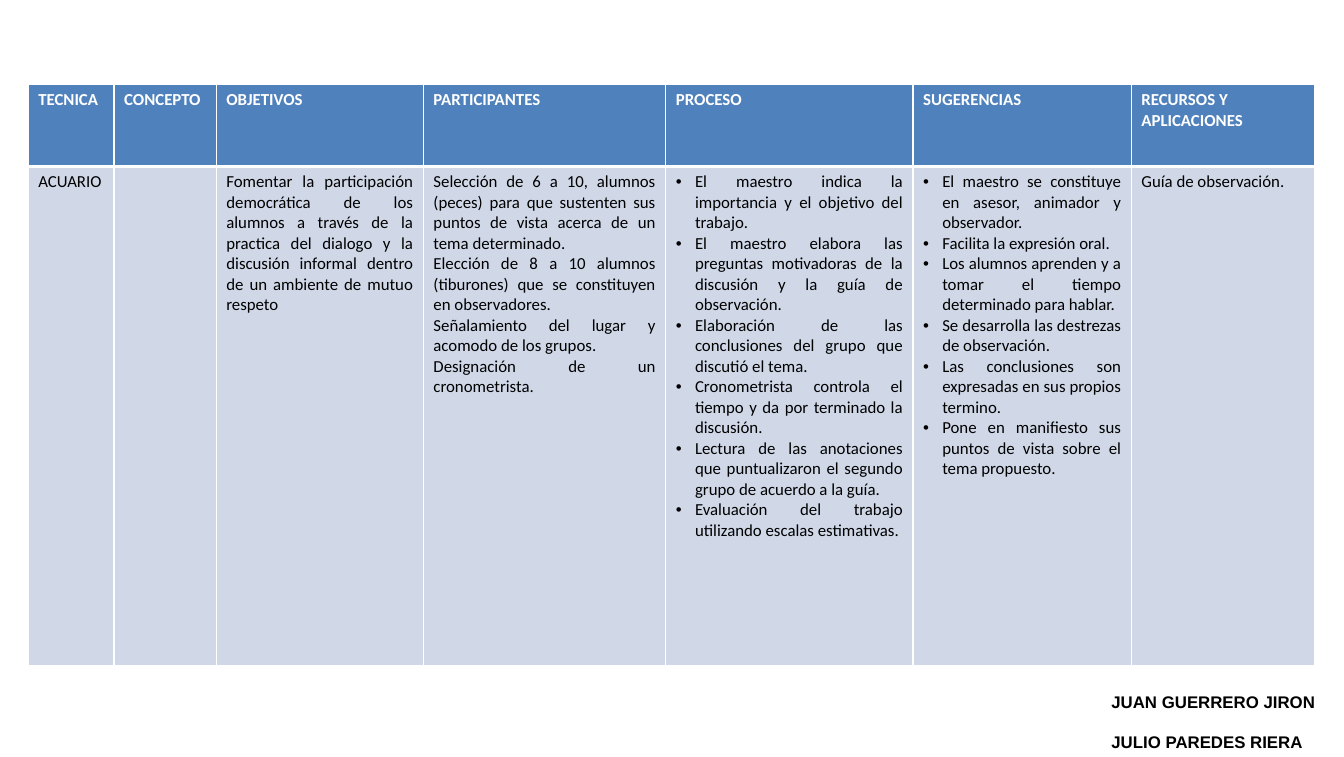
import pptx
import pptx.util
import pptx.dml.color
import pptx.enum.text
import pptx.oxml.ns
import lxml.etree

Cm = pptx.util.Cm
Pt = pptx.util.Pt
RGBColor = pptx.dml.color.RGBColor
JUSTIFY = pptx.enum.text.PP_ALIGN.JUSTIFY
LEFT = pptx.enum.text.PP_ALIGN.LEFT

WHITE = RGBColor(0xFF, 0xFF, 0xFF)
BLACK = RGBColor(0x00, 0x00, 0x00)
HEADER_BLUE = RGBColor(0x4F, 0x81, 0xBD)
BODY_BLUE = RGBColor(0xD0, 0xD8, 0xE8)

COLUMNS = [
    ("TECNICA", 2.16, LEFT, False, ["ACUARIO"]),
    ("CONCEPTO", 2.57, LEFT, False, []),
    ("OBJETIVOS", 5.21, JUSTIFY, False, [
        "Fomentar la participación democrática de los alumnos a través de la practica del "
        "dialogo y la discusión informal dentro de un ambiente de mutuo respeto",
    ]),
    ("PARTICIPANTES", 6.1, JUSTIFY, False, [
        "Selección de 6 a 10, alumnos (peces) para que sustenten sus puntos de vista "
        "acerca de un tema determinado.",
        "Elección de 8 a 10 alumnos (tiburones) que se constituyen en observadores.",
        "Señalamiento del lugar y acomodo de los grupos.",
        "Designación de un cronometrista.",
    ]),
    ("PROCESO", 6.22, JUSTIFY, True, [
        "El maestro indica la importancia y el objetivo del trabajo.",
        "El maestro elabora las preguntas motivadoras de la discusión y la guía de observación.",
        "Elaboración de las conclusiones del grupo que discutió el tema.",
        "Cronometrista controla el tiempo y da por terminado la discusión.",
        "Lectura de las anotaciones que puntualizaron el segundo grupo de acuerdo a la guía.",
        "Evaluación del trabajo utilizando escalas estimativas.",
    ]),
    ("SUGERENCIAS", 5.49, JUSTIFY, True, [
        "El maestro se constituye en asesor, animador y observador.",
        "Facilita la expresión oral.",
        "Los alumnos aprenden y a tomar el tiempo determinado para hablar.",
        "Se desarrolla las destrezas de observación.",
        "Las conclusiones son expresadas en sus propios termino.",
        "Pone en manifiesto sus puntos de vista sobre el tema propuesto.",
    ]),
    ("RECURSOS Y APLICACIONES", 4.62, LEFT, False, ["Guía de observación."]),
]
ROW_HEIGHTS = [2.06, 12.55]
AUTHORS = ["JUAN GUERRERO JIRON", "JULIO PAREDES RIERA"]


def add_paragraph(text_frame, index, text, font_name, color, bold):
    paragraph = text_frame.paragraphs[0] if index == 0 else text_frame.add_paragraph()
    run = paragraph.add_run()
    run.text = text
    run.font.name = font_name
    run.font.size = Pt(12)
    run.font.bold = bold
    run.font.color.rgb = color
    return paragraph


def style_cell(cell, fill_color, top_width, bottom_width):
    properties = cell._tc.get_or_add_tcPr()
    for side, width in (("L", 1), ("R", 1), ("T", top_width), ("B", bottom_width)):
        line = lxml.etree.SubElement(
            properties, pptx.oxml.ns.qn(f"a:ln{side}"), w=str(Pt(width)))
        solid = lxml.etree.SubElement(line, pptx.oxml.ns.qn("a:solidFill"))
        lxml.etree.SubElement(solid, pptx.oxml.ns.qn("a:srgbClr"), val=str(WHITE))
    cell.fill.solid()
    cell.fill.fore_color.rgb = fill_color


presentation = pptx.Presentation()
presentation.slide_width = Cm(33.81)
presentation.slide_height = Cm(19.05)
slide = presentation.slides.add_slide(presentation.slide_layouts[6])

table_width = sum(column[1] for column in COLUMNS)
table = slide.shapes.add_table(
    len(ROW_HEIGHTS), len(COLUMNS), Cm(0.71), Cm(2.13),
    Cm(table_width), Cm(sum(ROW_HEIGHTS))).table
table.horz_banding = False
for row, height in zip(table.rows, ROW_HEIGHTS):
    row.height = Cm(height)

for column_index, (heading, width, alignment, bulleted, entries) in enumerate(COLUMNS):
    table.columns[column_index].width = Cm(width)
    header_cell = table.cell(0, column_index)
    style_cell(header_cell, HEADER_BLUE, 1, 3)
    add_paragraph(header_cell.text_frame, 0, heading, "Calibri", WHITE, True)

    body_cell = table.cell(1, column_index)
    style_cell(body_cell, BODY_BLUE, 3, 1)
    for index, entry in enumerate(entries):
        paragraph = add_paragraph(body_cell.text_frame, index, entry, "Calibri", BLACK, False)
        paragraph.alignment = alignment
        if bulleted:
            properties = paragraph._p.get_or_add_pPr()
            properties.set("marL", str(Cm(0.48)))
            properties.set("indent", str(-Cm(0.48)))
            lxml.etree.SubElement(properties, pptx.oxml.ns.qn("a:buFont"), typeface="Arial")
            lxml.etree.SubElement(properties, pptx.oxml.ns.qn("a:buChar"), char="•")

authors_box = slide.shapes.add_textbox(Cm(27.71), Cm(17.2), Cm(6.1), Cm(1.85))
authors_frame = authors_box.text_frame
authors_frame.word_wrap = True
authors_frame.vertical_anchor = pptx.enum.text.MSO_ANCHOR.BOTTOM
for index, author in enumerate(AUTHORS):
    paragraph = add_paragraph(authors_frame, index, author, "Arial", BLACK, True)
    if index > 0:
        paragraph.space_before = Pt(14)

presentation.save("out.pptx")
